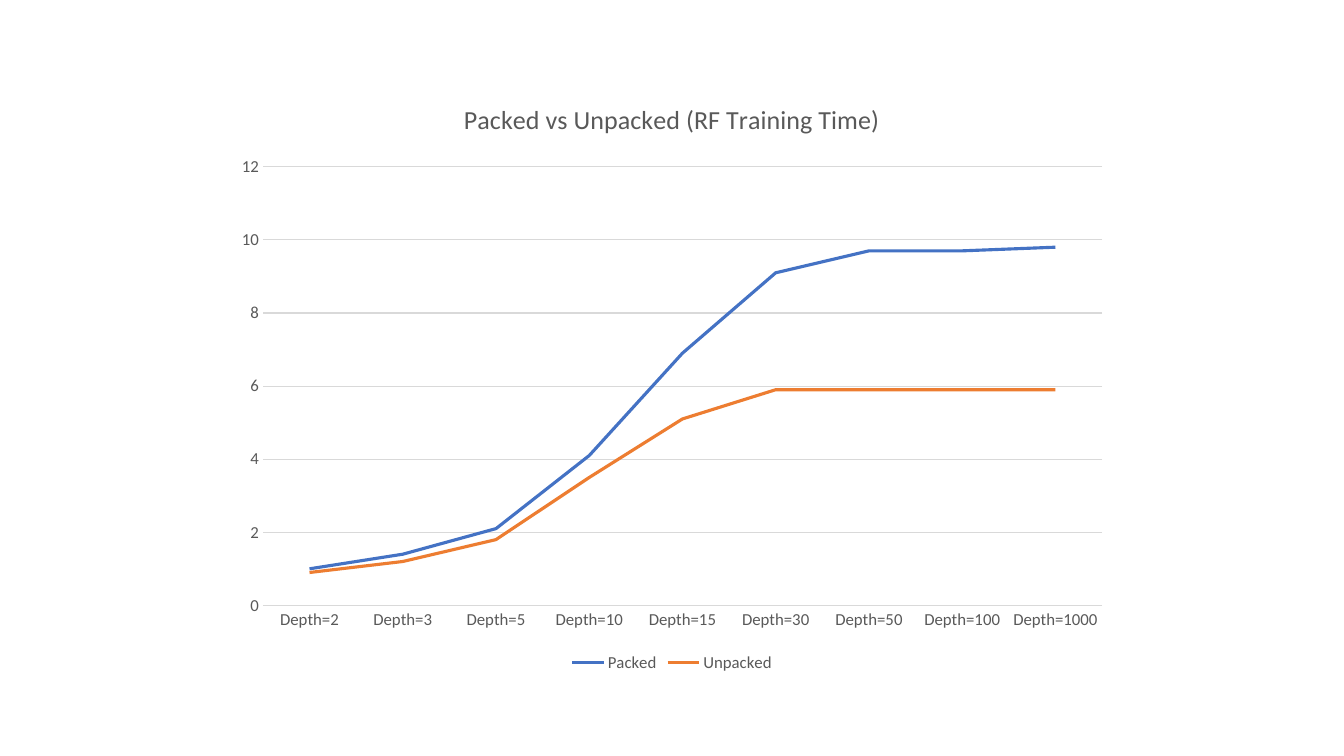
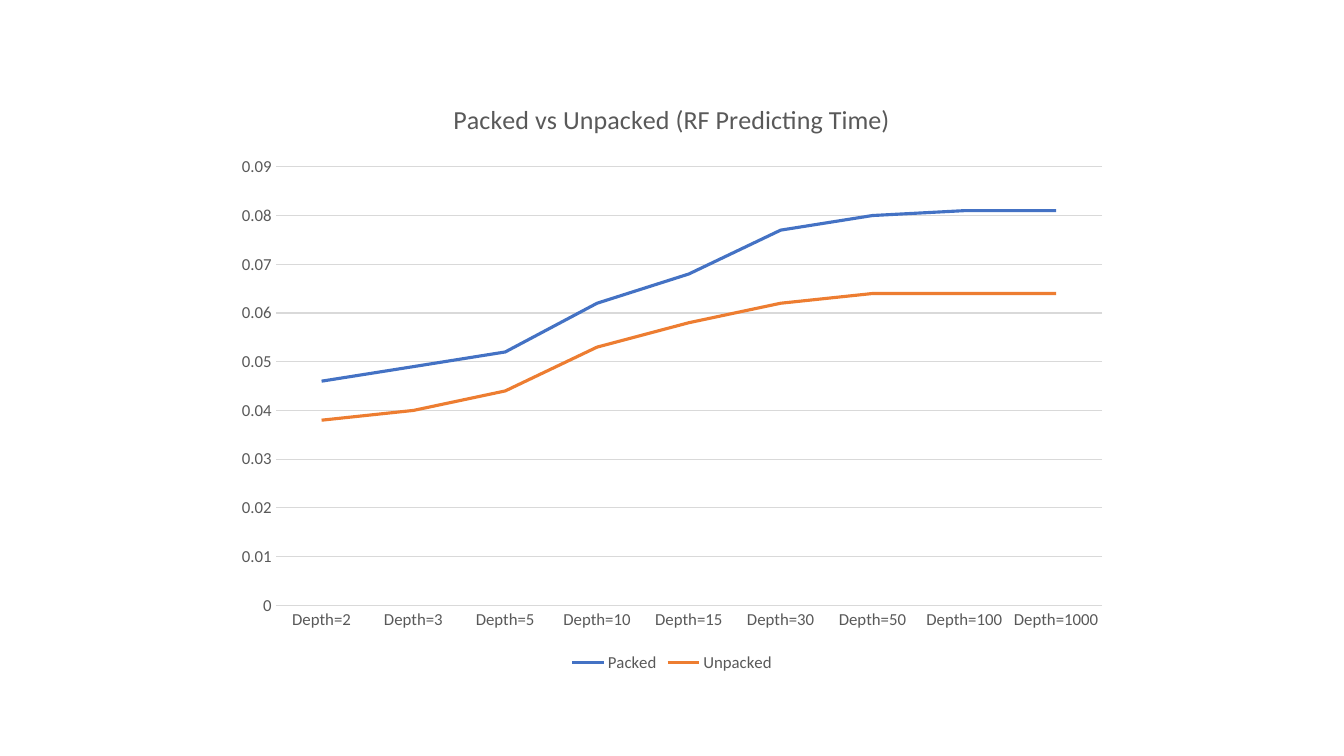
from pptx import Presentation
from pptx import util as u
from pptx.chart.data import CategoryChartData
from pptx.dml.color import RGBColor
from pptx.enum import chart as ch

DEPTHS = [f"Depth={depth}" for depth in (2, 3, 5, 10, 15, 30, 50, 100, 1000)]
CHARTS = [
    {
        "title": "Packed vs Unpacked (RF Training Time)",
        "top_value": 12,
        "step": 2,
        "series": {
            "Packed": (1, 1.4, 2.1, 4.1, 6.9, 9.1, 9.7, 9.7, 9.8),
            "Unpacked": (0.9, 1.2, 1.8, 3.5, 5.1, 5.9, 5.9, 5.9, 5.9),
        },
    },
    {
        "title": "Packed vs Unpacked (RF Predicting Time)",
        "top_value": 0.09,
        "step": 0.01,
        "series": {
            "Packed": (0.046, 0.049, 0.052, 0.062, 0.068, 0.077, 0.08, 0.081, 0.081),
            "Unpacked": (0.038, 0.04, 0.044, 0.053, 0.058, 0.062, 0.064, 0.064, 0.064),
        },
    },
]
COLORS = {"text": "595959", "grid": "D9D9D9", "Packed": "4472C4", "Unpacked": "ED7D31"}
FONT = "Calibri"
SLIDE_SIZE = u.Cm(33.87), u.Cm(19.05)
CHART_SIZE = u.Cm(22.58), u.Cm(15.05)
BLANK_LAYOUT = 6


def style_font(font, size=12, color="text"):
    """Apply the shared typeface with a size and a named colour."""
    font.name = FONT
    font.size = u.Pt(size)
    font.bold = False
    font.color.rgb = RGBColor.from_string(COLORS[color])


def style_line(line, color, width=0.75):
    """Give a line a named colour and a width in points."""
    line.color.rgb = RGBColor.from_string(COLORS[color])
    line.width = u.Pt(width)


def write_title(chart, words, **style):
    """Write the chart title as one formatted run."""
    span = chart.chart_title.text_frame.paragraphs[0].add_run()
    span.text = words
    style_font(span.font, **style)
    chart.chart_title.include_in_layout = False


def style_axes(chart, top_value, step):
    """Format both axes and fix the value scale."""
    for axis in (chart.category_axis, chart.value_axis):
        axis.major_tick_mark = axis.minor_tick_mark = ch.XL_TICK_MARK.NONE
        style_font(axis.tick_labels.font)
    style_line(chart.category_axis.format.line, "grid")
    values = chart.value_axis
    values.minimum_scale, values.maximum_scale = 0, top_value
    values.major_unit = step
    values.format.line.fill.background()
    style_line(values.major_gridlines.format.line, "grid")


def add_line_chart(page, content):
    """Place one centred line chart on the page."""
    data = CategoryChartData()
    data.categories = DEPTHS
    for name, values in content["series"].items():
        data.add_series(name, values)
    left, top = ((outer - inner) // 2 for outer, inner in zip(SLIDE_SIZE, CHART_SIZE))
    chart = page.shapes.add_chart(
        ch.XL_CHART_TYPE.LINE, left, top, *CHART_SIZE, data).chart
    style_font(chart.font)
    write_title(chart, content["title"], size=18.6)
    style_axes(chart, content["top_value"], content["step"])
    chart.has_legend = True
    chart.legend.position = ch.XL_LEGEND_POSITION.BOTTOM
    chart.legend.include_in_layout = False
    style_font(chart.legend.font)
    chart.plots[0].vary_by_categories = False
    for series in chart.plots[0].series:
        series.smooth = False
        series.marker.style = ch.XL_MARKER_STYLE.NONE
        style_line(series.format.line, series.name, width=2.25)


deck = Presentation()
deck.slide_width, deck.slide_height = SLIDE_SIZE
for content in CHARTS:
    add_line_chart(deck.slides.add_slide(deck.slide_layouts[BLANK_LAYOUT]), content)
deck.save("out.pptx")
